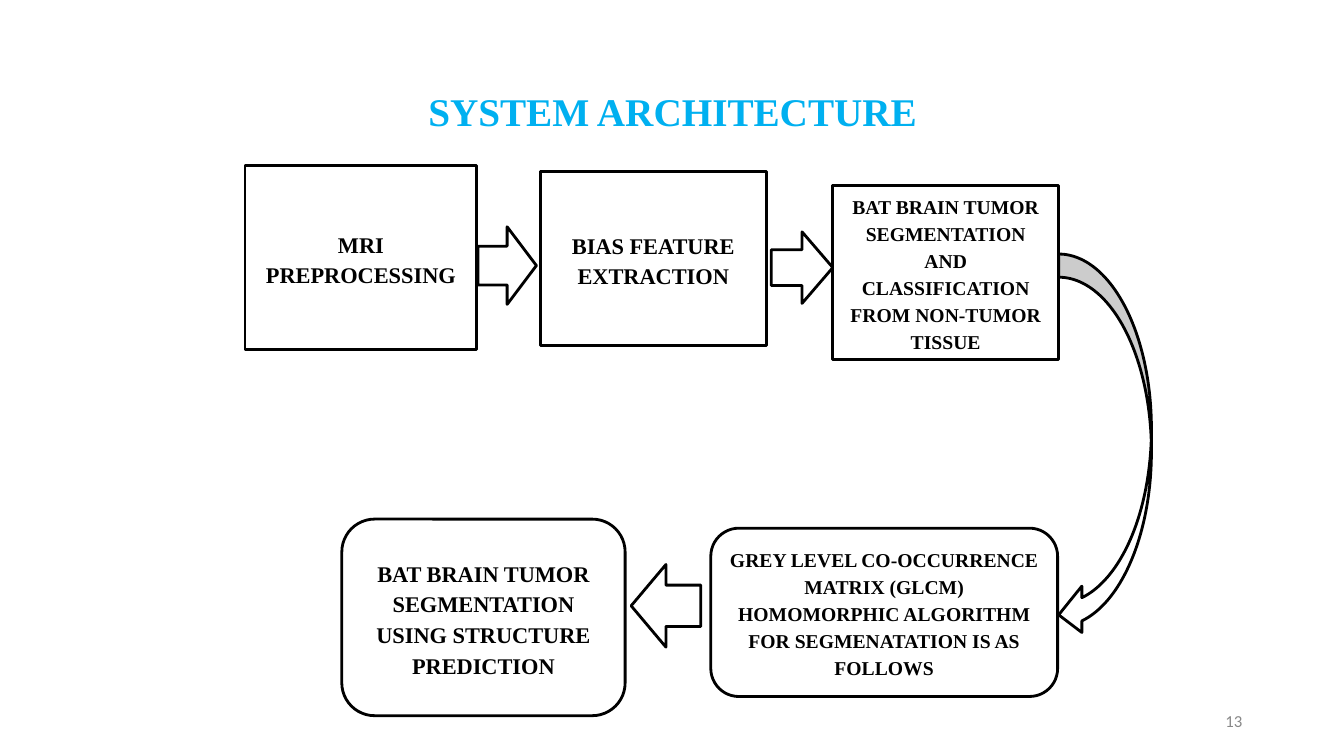
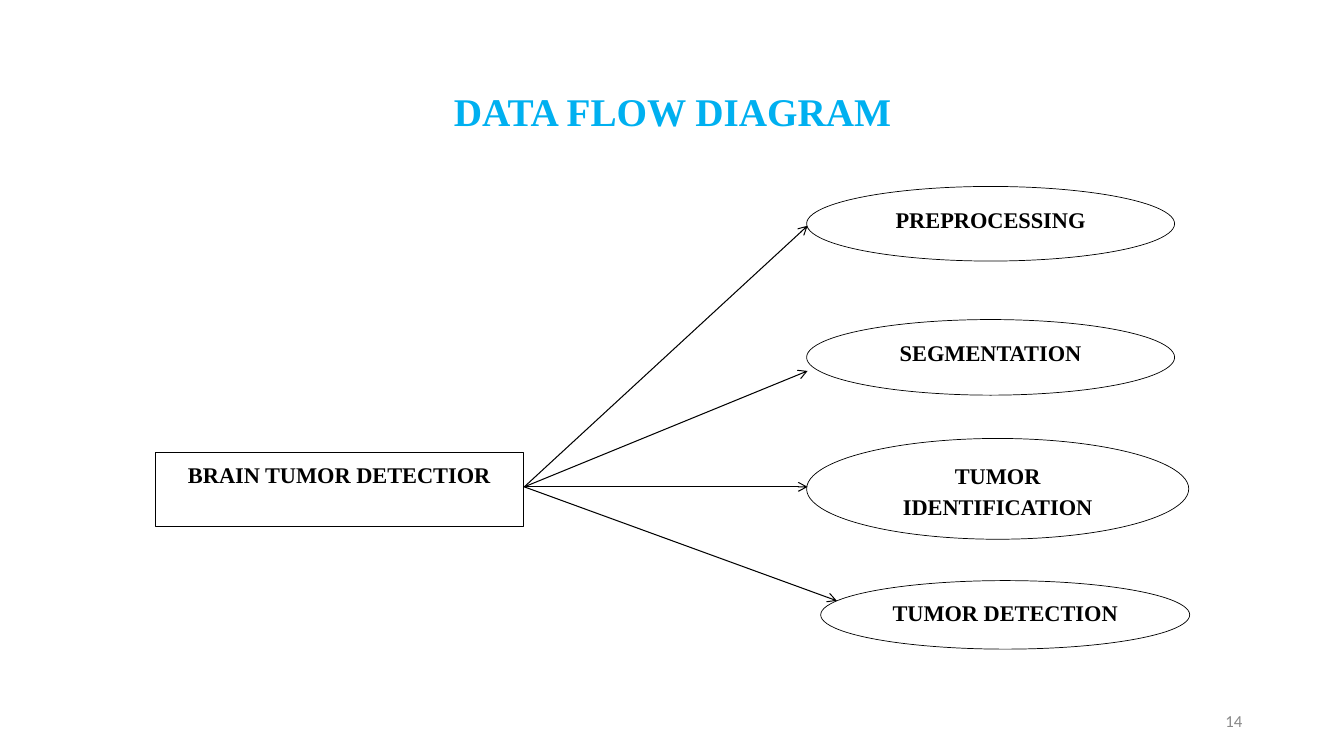
from dataclasses import dataclass

from lxml import etree
from pptx import Presentation
from pptx.dml.color import RGBColor
from pptx.enum.shapes import MSO_CONNECTOR, MSO_SHAPE as Shape
from pptx.enum.text import MSO_ANCHOR as Anchor, PP_ALIGN as Align
from pptx.oxml.ns import qn
from pptx.util import Pt

PX = 9144  # EMU in one px, at 100 px to the inch


@dataclass(frozen=True)
class Theme:
    title: RGBColor = RGBColor(0x00, 0xB0, 0xF0)
    ink: RGBColor = RGBColor(0x00, 0x00, 0x00)
    paper: RGBColor = RGBColor(0xFF, 0xFF, 0xFF)
    muted: RGBColor = RGBColor(0x88, 0x88, 0x88)
    serif: str = "Times New Roman"
    sans: str = "Calibri"
    title_size: int = 28
    label_size: int = 16
    small_size: int = 14
    number_size: int = 12
    thick: float = 2
    thin: float = 0.5
    arrow: float = 0.75


THEME = Theme()


def px(*lengths):
    return [length * PX for length in lengths]


def write(sp, text, size, color, font=THEME.serif, bold=True,
          align=Align.CENTER, anchor=Anchor.MIDDLE, spacing=1.0, after=0):
    tf = sp.text_frame
    tf.word_wrap = True
    tf.vertical_anchor = anchor
    p = tf.paragraphs[0]
    p.alignment, p.line_spacing, p.space_after = align, spacing, Pt(after)
    r = p.add_run()
    r.text = text
    r.font.name, r.font.size, r.font.bold = font, Pt(size), bold
    r.font.color.rgb = color


def add_frame(prs, title, number):
    """Add a blank slide with its title and slide number."""
    s = prs.slides.add_slide(prs.slide_layouts[6])
    write(s.shapes.add_textbox(*px(92, 40, 1150, 145)), title,
          THEME.title_size, THEME.title, spacing=0.9)
    write(s.shapes.add_textbox(*px(942, 695, 300, 40)), str(number),
          THEME.number_size, THEME.muted, THEME.sans, bold=False,
          align=Align.RIGHT)
    return s


def add_outline(s, kind, box, width):
    sp = s.shapes.add_shape(kind, *px(*box))
    sp.shadow.inherit = False
    sp.fill.solid()
    sp.fill.fore_color.rgb = THEME.paper
    sp.line.color.rgb = THEME.ink
    sp.line.width = Pt(width)
    return sp


def add_node(s, kind, box, text, width, size=THEME.label_size,
             anchor=Anchor.MIDDLE):
    write(add_outline(s, kind, box, width), text, size, THEME.ink,
          anchor=anchor, spacing=1.15, after=10)


def add_arrow(s, start, end):
    line = s.shapes.add_connector(MSO_CONNECTOR.STRAIGHT, *px(*start, *end))
    line.line.color.rgb = THEME.ink
    line.line.width = Pt(THEME.arrow)
    etree.SubElement(line.line._get_or_add_ln(), qn("a:tailEnd"), type="arrow")
    etree.SubElement(line._element.spPr, qn("a:effectLst"))


def build_architecture(prs):
    s = add_frame(prs, "SYSTEM ARCHITECTURE", 13)
    steps = [
        (Shape.RECTANGLE, (243, 164, 230, 183), "MRI PREPROCESSING",
         THEME.label_size),
        (Shape.RECTANGLE, (536, 170, 224, 173), "BIAS FEATURE EXTRACTION",
         THEME.label_size),
        (Shape.RECTANGLE, (826, 184, 224, 173),
         "BAT BRAIN TUMOR SEGMENTATION AND CLASSIFICATION "
         "FROM NON-TUMOR TISSUE", THEME.small_size),
        (Shape.ROUNDED_RECTANGLE, (705, 524, 344, 167),
         "GREY LEVEL CO-OCCURRENCE MATRIX (GLCM) HOMOMORPHIC ALGORITHM "
         "FOR SEGMENATATION IS AS FOLLOWS", THEME.small_size),
        (Shape.ROUNDED_RECTANGLE, (339, 515, 281, 195),
         "BAT BRAIN TUMOR SEGMENTATION USING STRUCTURE PREDICTION",
         THEME.label_size),
    ]
    arrows = [
        (Shape.RIGHT_ARROW, (474, 225, 58, 77)),
        (Shape.RIGHT_ARROW, (765, 230, 61, 71)),
        (Shape.CURVED_LEFT_ARROW, (1050, 252, 92, 381)),
        (Shape.LEFT_ARROW, (626, 560, 69, 82)),
    ]
    for kind, box, text, size in steps:
        add_node(s, kind, box, text, THEME.thick, size)
    for kind, box in arrows:
        add_outline(s, kind, box, THEME.thick)


def build_data_flow(prs):
    s = add_frame(prs, "DATA FLOW DIAGRAM", 14)
    add_node(s, Shape.RECTANGLE, (154, 449, 365, 73),
             "BRAIN TUMOR DETECTIOR", THEME.thin, anchor=Anchor.TOP)
    stages = [
        ("PREPROCESSING", (800, 185, 365, 74), (801, 224)),
        ("SEGMENTATION", (800, 317, 365, 75), (801, 368)),
        ("TUMOR IDENTIFICATION", (800, 435, 379, 100), (801, 483)),
        ("TUMOR DETECTION", (814, 576, 366, 68), (830, 596)),
    ]
    for text, box, tip in stages:
        add_node(s, Shape.OVAL, box, text, THEME.thin, anchor=Anchor.TOP)
        add_arrow(s, (520, 483), tip)


def main():
    prs = Presentation()
    prs.slide_width, prs.slide_height = px(1333, 750)
    build_architecture(prs)
    build_data_flow(prs)
    prs.save("out.pptx")


if __name__ == "__main__":
    main()
